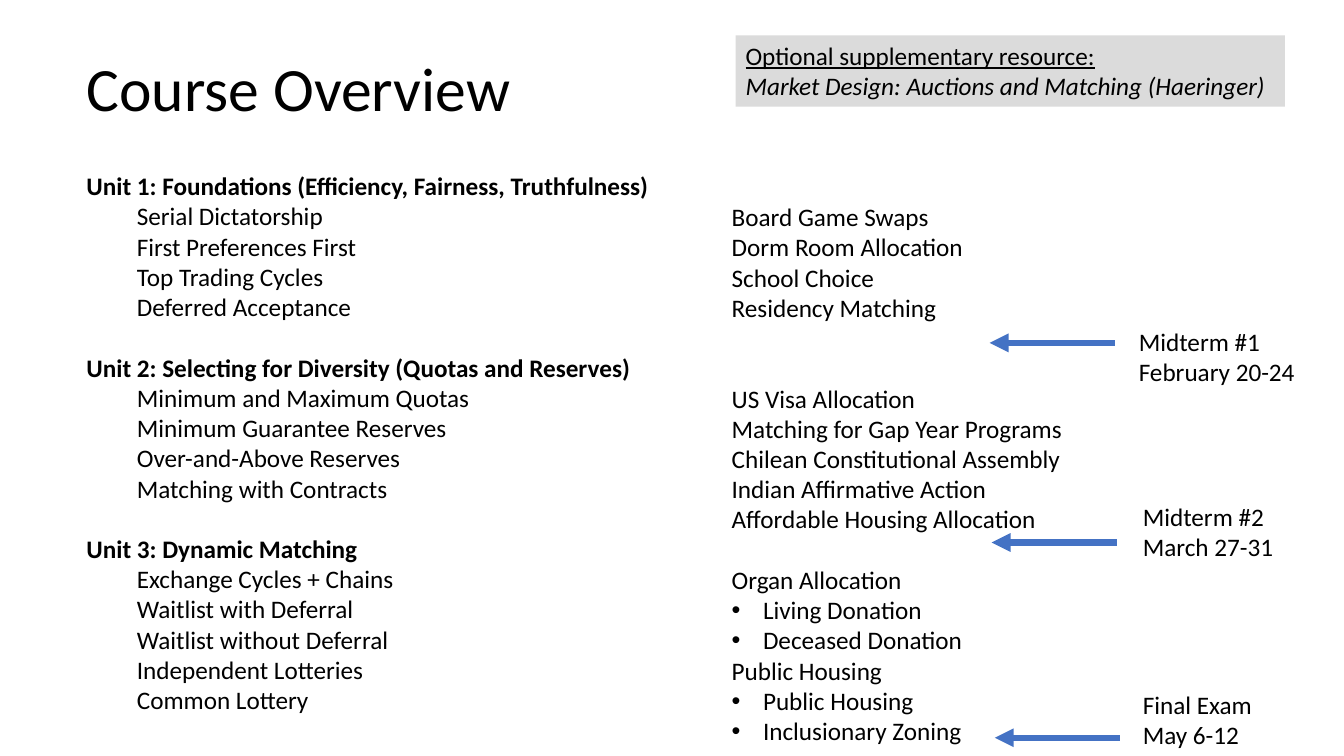
from dataclasses import dataclass

from lxml.etree import SubElement
from pptx import Presentation
from pptx.dml.color import RGBColor
from pptx.enum.shapes import MSO_CONNECTOR as Connector, MSO_SHAPE as Shape
from pptx.enum.text import MSO_ANCHOR as Anchor, MSO_AUTO_SIZE as AutoSize, PP_ALIGN as Align
from pptx.oxml.ns import qn
from pptx.util import Cm, Pt


@dataclass(frozen=True)
class Theme:
    font: str = "Calibri"
    text: RGBColor = RGBColor(0x00, 0x00, 0x00)
    panel: RGBColor = RGBColor(0xDB, 0xDB, 0xDB)
    arrow: RGBColor = RGBColor(0x44, 0x72, 0xC4)
    title_size: Pt = Pt(44)
    body_size: Pt = Pt(18)
    blank_line: Pt = Pt(21.6)
    arrow_width: Pt = Pt(4.5)


THEME = Theme()
TOPIC_INDENT = Cm(1.27)
BULLET_INDENT = Cm(0.79)
ARROW_LENGTH = Cm(3.15)
LABEL_HEIGHT = Cm(1.8)

UNITS = [
    ("Unit 1: Foundations (Efficiency, Fairness, Truthfulness)",
     ["Serial Dictatorship", "First Preferences First", "Top Trading Cycles",
      "Deferred Acceptance"]),
    ("Unit 2: Selecting for Diversity (Quotas and Reserves)",
     ["Minimum and Maximum Quotas", "Minimum Guarantee Reserves",
      "Over-and-Above Reserves", "Matching with Contracts"]),
    ("Unit 3: Dynamic Matching",
     ["Exchange Cycles + Chains", "Waitlist with Deferral",
      "Waitlist without Deferral", "Independent Lotteries", "Common Lottery"]),
]

APPLICATIONS = [
    (0, ["Board Game Swaps", "Dorm Room Allocation", "School Choice",
         "Residency Matching"], []),
    (2, ["US Visa Allocation", "Matching for Gap Year Programs",
         "Chilean Constitutional Assembly", "Indian Affirmative Action",
         "Affordable Housing Allocation"], []),
    (1, ["Organ Allocation"], ["Living Donation", "Deceased Donation"]),
    (0, ["Public Housing"], ["Public Housing", "Inclusionary Zoning"]),
]

EXAMS = [
    (("Midterm #1", "February 20-24"), (28.45, 8.1, 4.47), (24.94, 8.64)),
    (("Midterm #2", "March 27-31"), (28.55, 12.5, 3.84), (24.99, 13.67)),
    (("Final Exam", "May 6-12"), (28.55, 17.25, 3.28), (25.07, 18.59)),
]


def add_text(frame, text, size=THEME.body_size, bold=False, italic=False,
             underline=False, indent=0, bullet=False, blanks_before=0, spacing=None):
    para = frame.paragraphs[0]
    if para.runs:
        para = frame.add_paragraph()
    para.alignment = Align.LEFT
    para.line_spacing = spacing
    if blanks_before:
        para.space_before = Pt(THEME.blank_line.pt * blanks_before)
    properties = para._p.get_or_add_pPr()
    properties.set("marL", str(int(indent)))
    properties.set("indent", str(-int(indent) if bullet else 0))
    if bullet:
        SubElement(properties, qn("a:buFont"), typeface="Arial")
        SubElement(properties, qn("a:buChar"), char="•")
    span = para.add_run()
    span.text = text
    font = span.font
    font.name, font.size = THEME.font, size
    font.bold, font.italic, font.underline = bold, italic, underline
    font.color.rgb = THEME.text


def fit_frame(box):
    frame = box.text_frame
    frame.word_wrap = False
    frame.auto_size = AutoSize.SHAPE_TO_FIT_TEXT
    frame.vertical_anchor = Anchor.TOP
    return frame


def add_box(page, left, top, width, height):
    return fit_frame(page.shapes.add_textbox(left, top, width, height))


def add_arrow(page, left, top):
    arrow = page.shapes.add_connector(
        Connector.STRAIGHT, left, top, left + ARROW_LENGTH, top)
    arrow.line.color.rgb = THEME.arrow
    arrow.line.width = THEME.arrow_width
    SubElement(arrow.line._get_or_add_ln(), qn("a:headEnd"), type="triangle")
    SubElement(arrow._element.spPr, qn("a:effectLst"))


def add_title(page, text):
    title = page.shapes.title
    title.left, title.top, title.width, title.height = Cm(1.93), Cm(0.46), Cm(29.21), Cm(3.68)
    title.text_frame.vertical_anchor = Anchor.MIDDLE
    add_text(title.text_frame, text, size=THEME.title_size, spacing=0.9)


def add_units(page):
    frame = add_box(page, Cm(1.93), Cm(4.17), Cm(14.81), Cm(14.88))
    for number, (heading, topics) in enumerate(UNITS):
        add_text(frame, heading, bold=True, blanks_before=min(number, 1))
        for topic in topics:
            add_text(frame, topic, indent=TOPIC_INDENT)


def add_applications(page):
    frame = add_box(page, Cm(18.19), Cm(4.95), Cm(8.92), Cm(15.65))
    for blanks, entries, details in APPLICATIONS:
        for position, entry in enumerate(entries):
            add_text(frame, entry, blanks_before=0 if position else blanks)
        for detail in details:
            add_text(frame, detail, indent=BULLET_INDENT, bullet=True)


def add_exam(page, lines, label, arrow):
    left, top, width = map(Cm, label)
    frame = add_box(page, left, top, width, LABEL_HEIGHT)
    for line in lines:
        add_text(frame, line)
    add_arrow(page, *map(Cm, arrow))


def add_resource(page):
    panel = page.shapes.add_shape(
        Shape.RECTANGLE, Cm(18.54), Cm(0.89), Cm(13.84), LABEL_HEIGHT)
    panel.shadow.inherit = False
    panel.fill.solid()
    panel.fill.fore_color.rgb = THEME.panel
    panel.line.fill.background()
    frame = fit_frame(panel)
    add_text(frame, "Optional supplementary resource:", underline=True)
    add_text(frame, "Market Design: Auctions and Matching (Haeringer)", italic=True)


def main():
    deck = Presentation()
    deck.slide_width, deck.slide_height = Cm(33.87), Cm(19.05)
    page = deck.slides.add_slide(deck.slide_layouts.get_by_name("Title Only"))
    add_title(page, "Course Overview")
    add_units(page)
    add_applications(page)
    for lines, label, arrow in EXAMS:
        add_exam(page, lines, label, arrow)
    add_resource(page)
    deck.save("out.pptx")


if __name__ == "__main__":
    main()
